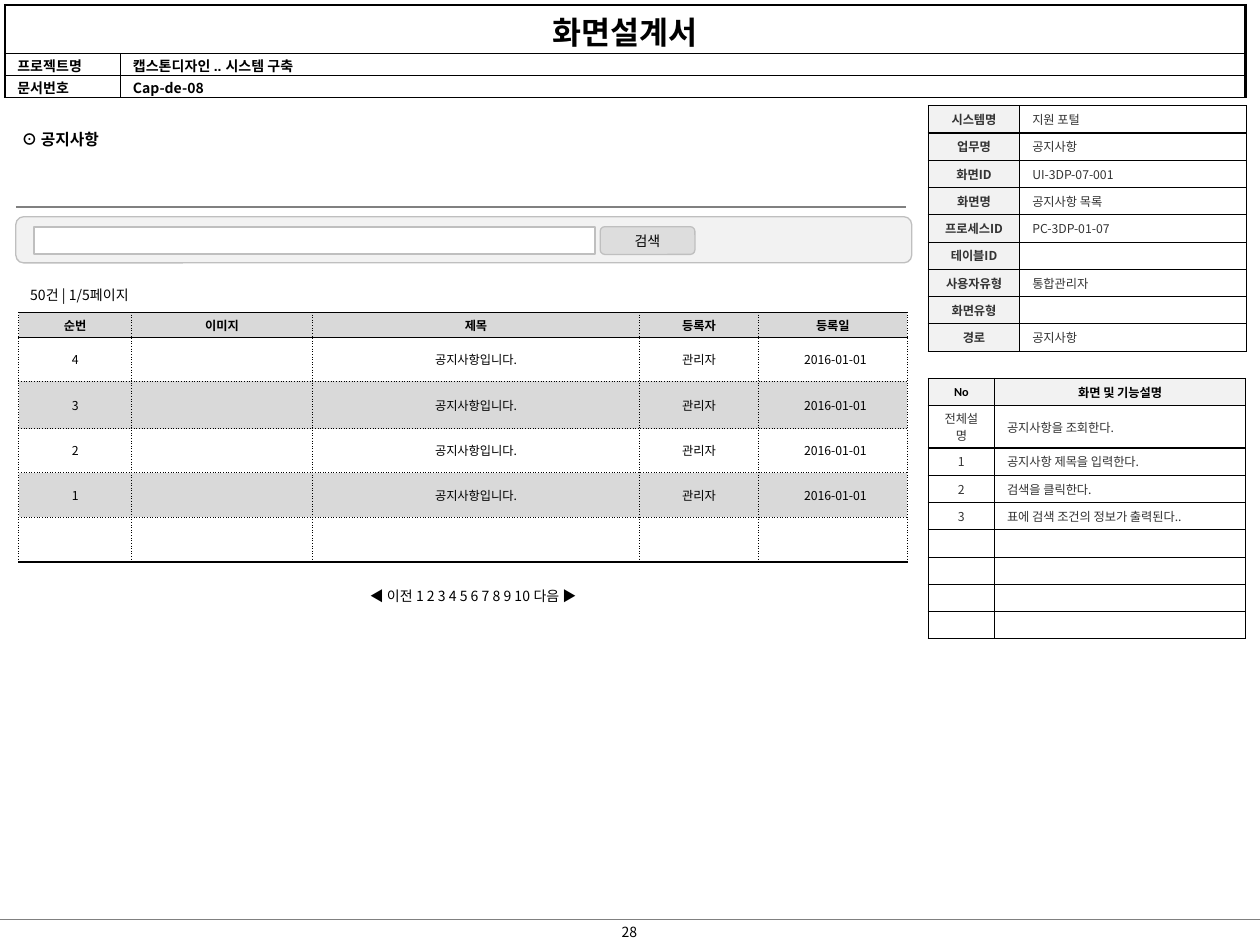
from itertools import product

from lxml import etree
from pptx import Presentation
from pptx.dml.color import RGBColor
from pptx.enum.shapes import MSO_CONNECTOR, MSO_SHAPE
from pptx.enum.text import MSO_ANCHOR, PP_ALIGN
from pptx.oxml.ns import qn
from pptx.util import Cm, Pt

LEFT, CENTER = PP_ALIGN.LEFT, PP_ALIGN.CENTER
MIDDLE, BOTTOM = MSO_ANCHOR.MIDDLE, MSO_ANCHOR.BOTTOM
TITLE_ONLY = 5

# Content
HEADER = [("화면설계서", ""),
          ("프로젝트명", "캡스톤디자인 .. 시스템 구축"),
          ("문서번호", "Cap-de-08")]
HEADING = "⊙ 공지사항"
INFO = [("시스템명", "지원 포털"), ("업무명", "공지사항"), ("화면ID", "UI-3DP-07-001"),
        ("화면명", "공지사항 목록"), ("프로세스ID", "PC-3DP-01-07"), ("테이블ID", ""),
        ("사용자유형", "통합관리자"), ("화면유형", ""), ("경로", "공지사항")]
FUNCTIONS = [("No", "화면 및 기능설명"),
             ("전체설명", "공지사항을 조회한다."),
             ("1", "공지사항 제목을 입력한다."),
             ("2", "검색을 클릭한다."),
             ("3", "표에 검색 조건의 정보가 출력된다..")] + [("", "")] * 4
NOTICES = [("순번", "이미지", "제목", "등록자", "등록일")]
NOTICES += [(str(n), "", "공지사항입니다.", "관리자", "2016-01-01") for n in (4, 3, 2, 1)]
NOTICES += [("",) * 5]
SEARCH = "검색"
COUNT = "50건 | 1/5페이지"
PAGER = "◀ 이전 1 2 3 4 5 6 7 8 9 10 다음 ▶"
PAGE_NUMBER = "28"

# Theme: colours, fonts and type sizes
THEME = {
    "black": "000000", "white": "FFFFFF", "body": "333333", "rule": "808080",
    "edge": "BFBFBF", "panel": "F2F2F2", "button": "DDDDDD", "band": "D9D9D9",
    "noto": "Noto Sans CJK KR", "arial": "Arial", "calibri": "Calibri",
    "title": 18, "heading": 9, "text": 8, "small": 7,
}


def style(size="small", face="noto", color="black", bold=False, align=CENTER):
    return {"size": size, "face": face, "color": color, "bold": bold, "align": align}


def rgb(name):
    return RGBColor.from_string(THEME[name])


def box(*lengths):
    return [Cm(length) for length in lengths]


def write(frame, text, look):
    paragraph = frame.paragraphs[0]
    paragraph.alignment = look["align"]
    size = Pt(THEME[look["size"]])
    if not text:  # keeps an empty row from growing
        etree.SubElement(paragraph._p, qn("a:endParaRPr"), sz=str(int(size.pt * 100)))
        return
    run = paragraph.add_run()
    run.text = text
    values = {"size": size, "name": THEME[look["face"]], "bold": look["bold"]}
    for name, value in values.items():
        setattr(run.font, name, value)
    run.font.color.rgb = rgb(look["color"])
    etree.SubElement(run._r.get_or_add_rPr(), qn("a:ea"), typeface=THEME["noto"])


def draw_border(cell, side, width, dash):
    line = etree.SubElement(cell._tc.get_or_add_tcPr(), qn(f"a:ln{side}"), w=str(Pt(width)))
    fill = etree.SubElement(line, qn("a:solidFill"))
    etree.SubElement(fill, qn("a:srgbClr"), val=THEME["black"])
    etree.SubElement(line, qn("a:prstDash"), val=dash)


def add_grid(slide, left, top, widths, heights, content, cell_format, borders):
    """cell_format gives style, fill and cell values; borders gives width and dash by side."""
    frame = slide.shapes.add_table(len(heights), len(widths),
                                   *box(left, top, sum(widths), sum(heights)))
    table = frame.table
    table.first_row = table.horz_banding = False
    for column, width in zip(table.columns, widths):
        column.width = Cm(width)
    for row, height in zip(table.rows, heights):
        row.height = Cm(height)
    for r, c in product(range(len(heights)), range(len(widths))):
        cell = table.cell(r, c)
        look, fill, values = cell_format(r, c)
        for name, value in values.items():
            setattr(cell, name, value)
        for side, (width, dash) in borders(r, c).items():
            draw_border(cell, side, width, dash)
        if fill:
            cell.fill.solid()
            cell.fill.fore_color.rgb = rgb(fill)
        else:
            cell.fill.background()
        write(cell.text_frame, content[r][c], look)
    return table


def cell_values(anchor=MIDDLE, left=0.25, right=0.25, top=0.04, bottom=0.04):
    return {"vertical_anchor": anchor, "margin_left": Cm(left), "margin_right": Cm(right),
            "margin_top": Cm(top), "margin_bottom": Cm(bottom)}


def header_format(r, c):
    if r == 0:
        look = style("title", bold=True)
    else:
        latin = "noto" if (r, c) == (2, 1) else "arial"
        look = style("text", latin, bold=True, align=LEFT)
    return look, "white", cell_values(BOTTOM, top=0, bottom=0)


def info_format(r, c):
    look = style(color="body", bold=c == 0, align=LEFT if c else CENTER)
    return look, None if c else "panel", cell_values()


def function_format(r, c):
    if r == 0:
        return style(face="arial" if c else "calibri", bold=True), "panel", cell_values()
    return style(color="body", align=LEFT if c else CENTER), None, cell_values()


def notice_format(r, c):
    look = style(face="noto" if r else "arial", bold=r == 0)
    indent = 0.1 if r and c == 4 else 0
    return look, "band" if r in (0, 2, 4) else "white", cell_values(left=indent, right=0)


def header_borders(r, c):
    thin, thick = (0.75, "solid"), (1.5, "solid")
    return {"L": thin if c else thick, "R": thick if c or r == 0 else thin,
            "T": thin if r else thick, "B": thin}


def plain_borders(r, c):
    return dict.fromkeys("LRTB", (0.75, "solid"))


def notice_borders(r, c):
    dotted, solid = (0.75, "sysDot"), (0.75, "solid")
    return {"L": dotted, "R": dotted, "T": solid if r < 2 else dotted,
            "B": solid if r in (0, len(NOTICES) - 1) else dotted}


def add_rule(slide, left, right, y):
    rule = slide.shapes.add_connector(MSO_CONNECTOR.STRAIGHT, *box(left, y, right, y))
    rule.line.color.rgb = rgb("rule")
    rule.line.width = Pt(0.75)
    etree.SubElement(rule._element.spPr, qn("a:effectLst"))


def add_panel(slide, preset, place, fill, width=0.75):
    panel = slide.shapes.add_shape(preset, *box(*place))
    panel.shadow.inherit = False
    panel.fill.solid()
    panel.fill.fore_color.rgb = rgb(fill)
    panel.line.color.rgb = rgb("edge")
    panel.line.width = Pt(width)
    return panel


def add_label(slide, text, place, look, wrap=True):
    label = slide.shapes.add_textbox(*box(*place))
    label.text_frame.word_wrap = wrap
    write(label.text_frame, text, look)


def main():
    deck = Presentation()
    deck.slide_width, deck.slide_height = box(25.4, 19.05)
    slide = deck.slides.add_slide(deck.slide_layouts[TITLE_ONLY])

    # Page footer
    add_rule(slide, 0, 25.4, 18.54)
    add_label(slide, PAGE_NUMBER, (11.99, 18.49, 1.4, 0.61), style("text"))

    # Document header
    header = add_grid(slide, 0.1, 0.1, [2.33, 22.68], [0.98, 0.44, 0.44],
                      HEADER, header_format, header_borders)
    header.cell(0, 0).merge(header.cell(0, 1))

    # Screen heading
    heading = slide.shapes.title
    place = dict(zip(("left", "top", "width", "height"), box(0.18, 2.49, 2.21, 0.64)))
    for name, value in place.items():
        setattr(heading, name, value)
    heading.text_frame.word_wrap = False
    heading.text_frame.vertical_anchor = MIDDLE
    write(heading.text_frame, HEADING, style("heading", bold=True, align=LEFT))
    add_rule(slide, 0.32, 18.26, 4.17)

    # Side tables
    add_grid(slide, 18.71, 7.63, [1.34, 5.06], [0.55, 0.85] + [0.55] * 7,
             FUNCTIONS, function_format, plain_borders)
    add_grid(slide, 18.71, 2.13, [1.85, 4.57], [0.55] * len(INFO),
             INFO, info_format, plain_borders)

    # Search bar
    add_panel(slide, MSO_SHAPE.ROUNDED_RECTANGLE, (0.32, 4.37, 18.06, 0.93), "panel")
    button = add_panel(slide, MSO_SHAPE.FLOWCHART_ALTERNATE_PROCESS,
                       (12.1, 4.57, 1.91, 0.56), "button")
    button.text_frame.margin_top = button.text_frame.margin_bottom = 0
    button.text_frame.word_wrap = False
    write(button.text_frame, SEARCH, style("text", "arial"))
    add_panel(slide, MSO_SHAPE.RECTANGLE, (0.69, 4.57, 11.31, 0.55), "white", 1)

    # Notice list
    add_label(slide, COUNT, (0.36, 5.66, 6.2, 0.61), style("text", align=LEFT))
    add_grid(slide, 0.38, 6.3, [2.27, 3.65, 6.59, 2.4, 3], [0.5, 0.89, 0.95, 0.89, 0.9, 0.9],
             NOTICES, notice_format, notice_borders)
    add_label(slide, PAGER, (6.91, 11.71, 5.26, 0.61), style("text"), wrap=False)

    deck.save("out.pptx")


if __name__ == "__main__":
    main()
